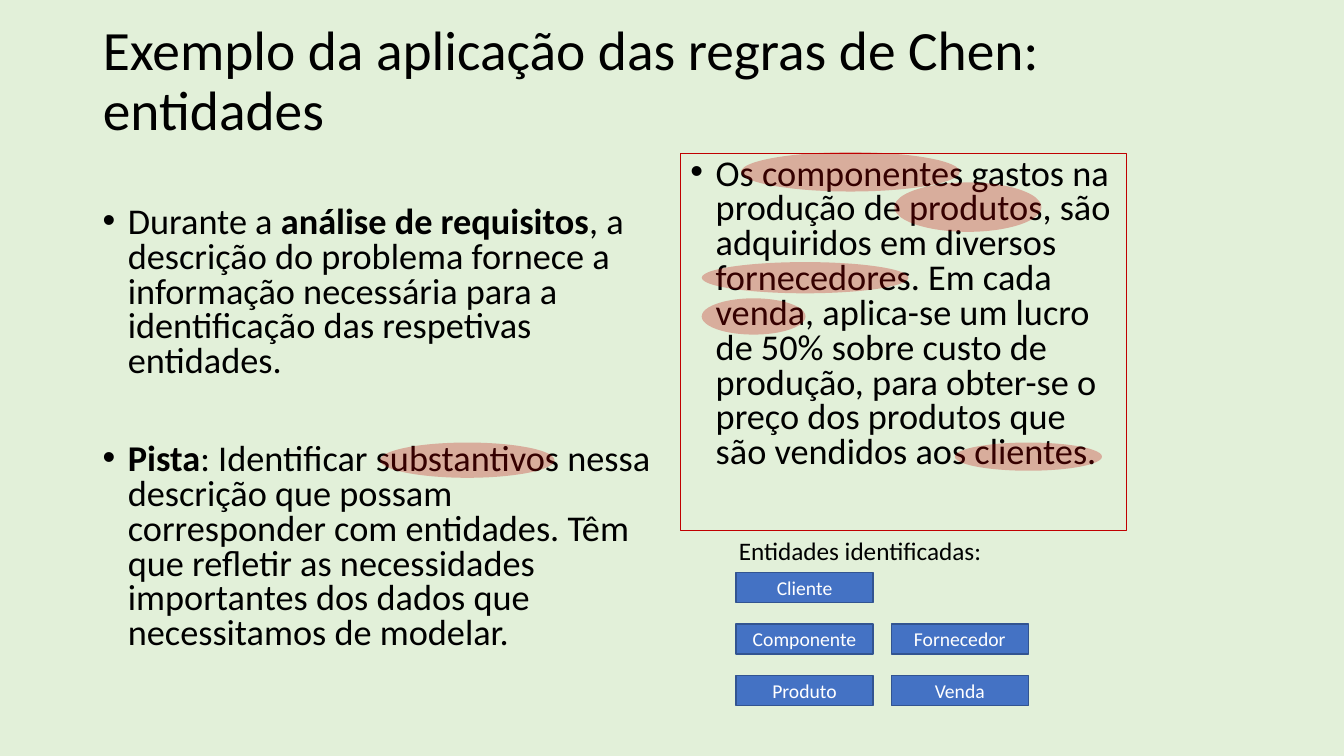
from dataclasses import dataclass
from lxml.etree import SubElement
from pptx import Presentation
from pptx.dml.color import RGBColor as Rgb
from pptx.enum.shapes import MSO_SHAPE as Kind
from pptx.enum.text import MSO_ANCHOR as Anchor, MSO_AUTO_SIZE as Fit, PP_ALIGN as Align
from pptx.oxml.ns import qn
from pptx.util import Inches, Pt


@dataclass
class Theme:
    font: str = "Calibri"
    back: str = "E2F0D9"
    ink: str = "000000"
    red: str = "C00000"
    blue: str = "4472C4"
    edge: str = "325491"
    white: str = "FFFFFF"
    alpha: int = 28
    title: float = 39.6
    body: float = 25.9
    label: float = 18
    tag: float = 14


class Page:
    def __init__(self, deck, theme):
        self.theme = theme
        self.slide = deck.slides.add_slide(deck.slide_layouts[5])
        self.shapes = self.slide.shapes
        self.paint(self.slide.background.fill, theme.back)

    def paint(self, fill, color):
        fill.solid()
        fill.fore_color.rgb = Rgb.from_string(color)

    def style(self, para, size, color):
        para.font.name = self.theme.font
        para.font.size = Pt(size)
        para.font.color.rgb = Rgb.from_string(color)

    def title(self, text, *box):
        shape = self.shapes.title
        shape.left, shape.top, shape.width, shape.height = map(Inches, box)
        frame = shape.text_frame
        frame.text = text
        frame.auto_size = Fit.NONE
        frame.vertical_anchor = Anchor.MIDDLE
        para = frame.paragraphs[0]
        para.alignment = Align.LEFT
        para.line_spacing = 0.9
        self.style(para, self.theme.title, self.theme.ink)

    def body(self, items, *box, gap=0, line=None):
        shape = self.shapes.add_textbox(*map(Inches, box))
        if line:
            shape.line.color.rgb = Rgb.from_string(line)
            shape.line.width = Pt(0.75)
        frame = shape.text_frame
        frame.word_wrap = True
        for i, parts in enumerate(items):
            para = frame.add_paragraph() if i else frame.paragraphs[0]
            para.line_spacing = 0.8
            para.space_before = Pt(gap if i else 0)
            props = para._p.get_or_add_pPr()
            props.set("marL", str(Inches(0.25)))
            props.set("indent", str(Inches(-0.25)))
            SubElement(props, qn("a:buFont"), typeface="Arial")
            SubElement(props, qn("a:buChar"), char="•")
            self.style(para, self.theme.body, self.theme.ink)
            for text, bold in parts:
                run = para.add_run()
                run.text = text
                if bold:
                    run.font.bold = True

    def mark(self, *box):
        shape = self.shapes.add_shape(Kind.OVAL, *map(Inches, box))
        shape.shadow.inherit = False
        self.paint(shape.fill, self.theme.red)
        shape.line.fill.background()
        color = shape.fill._xPr.find(".//" + qn("a:srgbClr"))
        SubElement(color, qn("a:alpha"), val=str(self.theme.alpha * 1000))

    def tag(self, text, *box):
        shape = self.shapes.add_shape(Kind.RECTANGLE, *map(Inches, box))
        shape.shadow.inherit = False
        self.paint(shape.fill, self.theme.blue)
        shape.line.color.rgb = Rgb.from_string(self.theme.edge)
        shape.line.width = Pt(1)
        frame = shape.text_frame
        frame.text = text
        frame.vertical_anchor = Anchor.MIDDLE
        para = frame.paragraphs[0]
        para.alignment = Align.CENTER
        self.style(para, self.theme.tag, self.theme.white)

    def label(self, text, *box):
        frame = self.shapes.add_textbox(*map(Inches, box)).text_frame
        frame.text = text
        frame.word_wrap = False
        frame.auto_size = Fit.SHAPE_TO_FIT_TEXT
        self.style(frame.paragraphs[0], self.theme.label, self.theme.ink)


def main():
    deck = Presentation()
    deck.slide_width, deck.slide_height = Inches(13.33), Inches(7.5)
    theme = Theme()
    page = Page(deck, theme)

    page.title("Exemplo da aplicação das regras de Chen: entidades", 0.92, 0.4, 9.74, 0.83)
    hints = [
        [("Durante a ", False), ("análise de requisitos", True),
         (", a descrição do problema fornece a informação necessária para a "
          "identificação das respetivas entidades.", False)],
        [("Pista", True),
         (": Identificar substantivos nessa descrição que possam corresponder com "
          "entidades. Têm que refletir as necessidades importantes dos dados que "
          "necessitamos de modelar.", False)],
    ]
    page.body(hints, 0.92, 2, 5.67, 4.76, gap=45)
    case = ("Os componentes gastos na produção de produtos, são adquiridos em diversos "
            "fornecedores. Em cada venda, aplica-se um lucro de 50% sobre custo de "
            "produção, para obter-se o preço dos produtos que são vendidos aos clientes.")
    page.body([[(case, False)]], 6.75, 1.52, 4.42, 3.74, line=theme.red)

    nouns = [
        (6.96, 2.6, 2.05, 0.31),
        (7.35, 1.51, 2.17, 0.39),
        (8.87, 1.81, 1.46, 0.49),
        (9.47, 4.39, 1.46, 0.28),
        (6.96, 2.96, 1.03, 0.36),
        (3.77, 4.39, 1.73, 0.35),
    ]
    for box in nouns:
        page.mark(*box)

    page.label("Entidades identificadas:", 7.23, 5.26, 2.64, 0.4)
    grid = [("Cliente", 0, 0), ("Componente", 0, 1), ("Produto", 0, 2),
            ("Fornecedor", 1, 1), ("Venda", 1, 2)]
    for name, col, row in grid:
        page.tag(name, 7.3 + 1.54 * col, 5.68 + 0.51 * row, 1.36, 0.3)

    deck.save("out.pptx")


if __name__ == "__main__":
    main()
